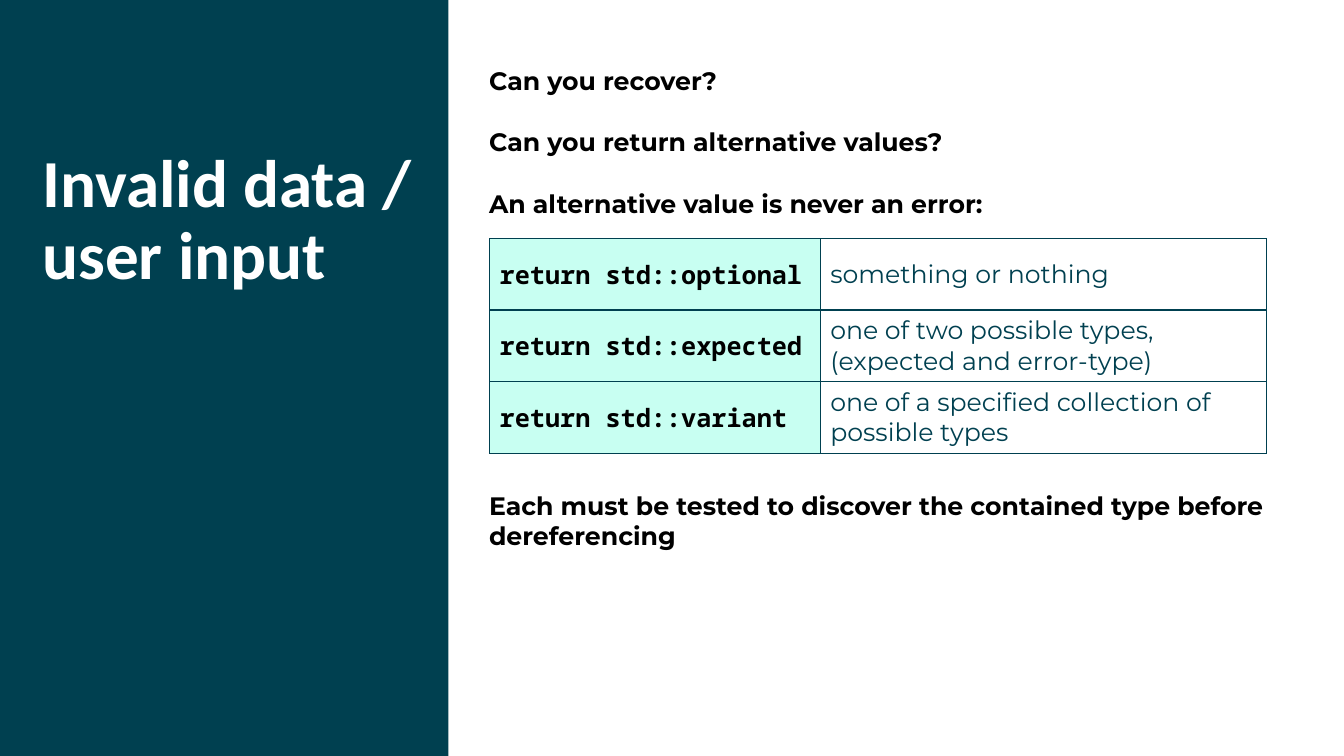
from lxml.etree import SubElement
from pptx import Presentation
from pptx.dml.color import RGBColor as Rgb
from pptx.enum.shapes import MSO_SHAPE as Preset
from pptx.enum.text import MSO_ANCHOR as Anchor, MSO_AUTO_SIZE as AutoSize, PP_ALIGN as Align
from pptx.oxml.ns import qn
from pptx.util import Cm, Pt

COLOURS = {"teal": "004050", "mint": "C8FFF2", "black": "000000", "white": "FFFFFF"}
HEADING = {"name": "Calibri", "size": Pt(48), "bold": True, "colour": "white"}
POINT = {"name": "Montserrat", "size": Pt(18), "bold": True, "colour": "black"}
CODE = {**POINT, "name": "Noto Sans Mono"}
MEANING = {**POINT, "bold": False, "colour": "teal"}

LINE_GAP = 22
TABLE_GAP = 194.5
POINTS = [
    ("Can you recover?", 0),
    ("Can you return alternative values?", LINE_GAP),
    ("An alternative value is never an error:", LINE_GAP),
    ("Each must be tested to discover the contained type before dereferencing", TABLE_GAP),
]
RETURN_TYPES = [
    ("return std::optional", "something or nothing"),
    ("return std::expected", "one of two possible types, (expected and error-type)"),
    ("return std::variant", "one of a specified collection of possible types"),
]


def colour(name):
    return Rgb.from_string(COLOURS[name])


def set_all(target, values):
    for name, value in values.items():
        setattr(target, name, value)


def write(paragraph, text, style):
    paragraph.text = text
    font = paragraph.runs[0].font
    set_all(font, {name: value for name, value in style.items() if name != "colour"})
    font.color.rgb = colour(style["colour"])


def place(holder, left, top, width, height):
    set_all(holder, {"left": Cm(left), "top": Cm(top), "width": Cm(width), "height": Cm(height)})


def add_panel(slide):
    panel = slide.shapes.add_shape(Preset.RECTANGLE, 0, 0, Cm(11.3), Cm(19.05))
    panel.shadow.inherit = False
    panel.fill.solid()
    panel.fill.fore_color.rgb = colour("teal")
    panel.line.fill.background()
    slide.shapes.title.element.addprevious(panel.element)


def fill_title(heading, text):
    place(heading, 1.07, 3.76, 9.58, 7.65)
    frame = heading.text_frame
    margins = {f"margin_{side}": 0 for side in ("left", "right", "top", "bottom")}
    set_all(frame, {**margins, "word_wrap": True, "auto_size": AutoSize.NONE,
                    "vertical_anchor": Anchor.TOP})
    paragraph = frame.paragraphs[0]
    set_all(paragraph, {"alignment": Align.LEFT, "line_spacing": 0.9})
    write(paragraph, text, HEADING)


def fill_points(body, points):
    place(body, 12.07, 1.53, 20.75, 13.34)
    frame = body.text_frame
    set_all(frame, {"word_wrap": True, "auto_size": AutoSize.NONE,
                    "vertical_anchor": Anchor.TOP})
    for index, (text, gap) in enumerate(points):
        paragraph = frame.add_paragraph() if index else frame.paragraphs[0]
        set_all(paragraph, {"space_before": Pt(gap), "space_after": Pt(0)})
        properties = paragraph._p.get_or_add_pPr()
        properties.set("marL", "0")
        properties.set("indent", "0")
        SubElement(properties, qn("a:buNone"))
        write(paragraph, text, POINT)


def add_borders(cell):
    properties = cell._tc.get_or_add_tcPr()
    for edge in ("lnL", "lnR", "lnT", "lnB"):
        line = SubElement(properties, qn(f"a:{edge}"), w=str(Pt(1)))
        paint = SubElement(line, qn("a:solidFill"))
        SubElement(paint, qn("a:srgbClr"), val=COLOURS["teal"])


def fill_cell(cell, text, style, background=None):
    add_borders(cell)
    if background:
        cell.fill.solid()
        cell.fill.fore_color.rgb = colour(background)
    else:
        cell.fill.background()
    cell.vertical_anchor = Anchor.MIDDLE
    write(cell.text_frame.paragraphs[0], text, style)


def add_return_table(slide, rows):
    widths, row_height = (8.33, 11.25), 1.79
    table = slide.shapes.add_table(len(rows), len(widths), Cm(12.34), Cm(6.02),
                                   Cm(sum(widths)), Cm(row_height * len(rows))).table
    set_all(table, {"first_row": False, "horz_banding": False})
    for column, width in zip(table.columns, widths):
        column.width = Cm(width)
    for index, (code, meaning) in enumerate(rows):
        table.rows[index].height = Cm(row_height)
        fill_cell(table.cell(index, 0), code, CODE, "mint")
        fill_cell(table.cell(index, 1), meaning, MEANING)


def main():
    deck = Presentation()
    set_all(deck, {"slide_width": Cm(33.87), "slide_height": Cm(19.05)})
    slide = deck.slides.add_slide(deck.slide_layouts[1])
    add_panel(slide)
    fill_title(slide.shapes.title, "Invalid data / user input")
    fill_points(slide.placeholders[1], POINTS)
    add_return_table(slide, RETURN_TYPES)
    deck.save("out.pptx")


if __name__ == "__main__":
    main()
